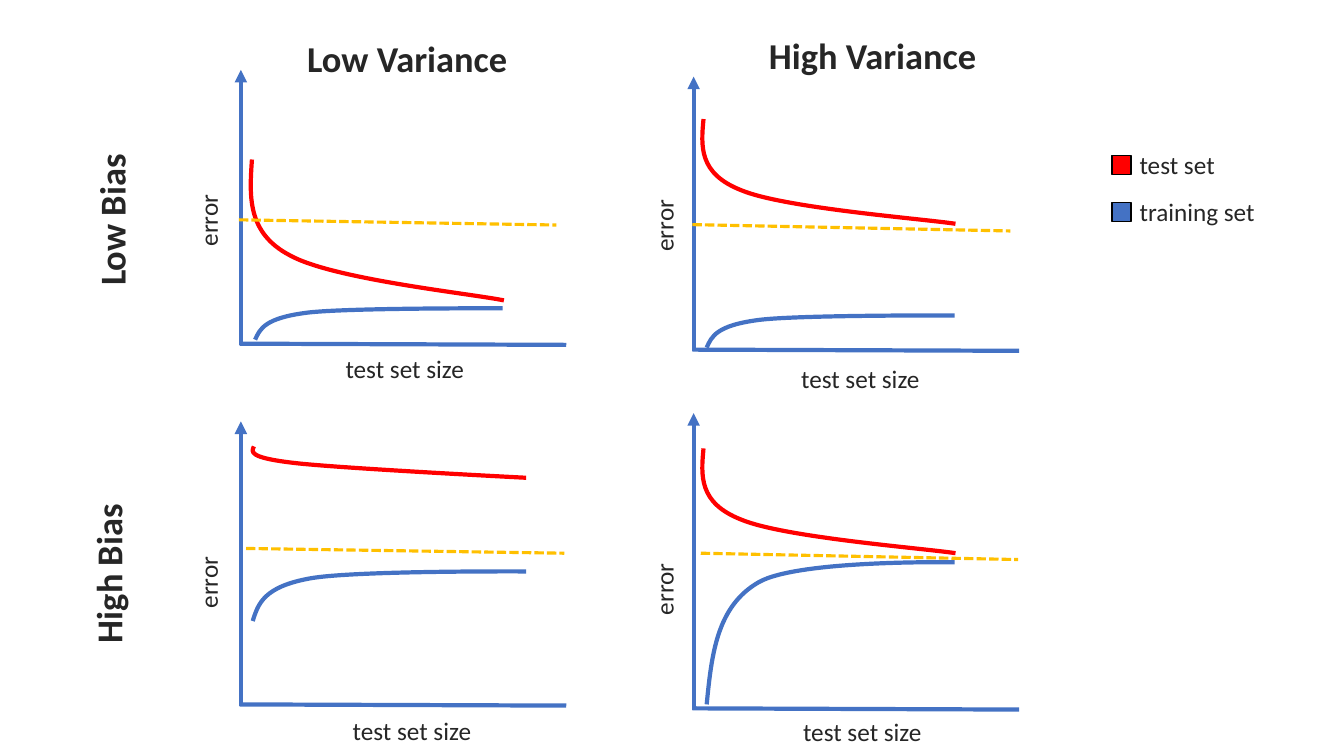
from dataclasses import dataclass

from lxml.etree import SubElement
from pptx import Presentation
from pptx.dml.color import RGBColor
from pptx.enum.dml import MSO_LINE
from pptx.enum.shapes import MSO_CONNECTOR, MSO_SHAPE
from pptx.enum.text import MSO_AUTO_SIZE
from pptx.oxml.ns import qn
from pptx.util import Cm, Pt


@dataclass(frozen=True)
class Theme:
    """Colours, type sizes and line widths of the slide."""
    training: RGBColor = RGBColor(0x44, 0x72, 0xC4)
    test: RGBColor = RGBColor(0xFF, 0x00, 0x00)
    target: RGBColor = RGBColor(0xFF, 0xC0, 0x00)
    ink: RGBColor = RGBColor(0x26, 0x26, 0x26)
    outline: RGBColor = RGBColor(0, 0, 0)
    font: str = "Calibri"
    heading: Pt = Pt(26)
    label: Pt = Pt(18)
    curve: Pt = Pt(3)
    dash: Pt = Pt(2.25)
    border: Pt = Pt(1)


THEME = Theme()

FALLING = [(0, 0), (-0.01, 0.26), (-0.02, 0.52), (0.15, 0.68),
           (0.32, 0.85), (0.86, 0.95), (1, 1)]
FLAT = [(0, 0), (-0.01, 0.18), (-0.02, 0.36), (0.15, 0.53),
        (0.32, 0.7), (1, 1), (1, 1)]
RISING = [(0, 0), (0.02, 0.35), (0.04, 0.69), (0.21, 0.86),
          (0.37, 1.02), (1, 1), (1, 1)]


@dataclass(frozen=True)
class Panel:
    """One learning-curve chart; labels and spans are offsets from the axis origin in cm."""
    left: float
    base: float
    height: float
    size_label: tuple
    error_label: tuple
    test_profile: list
    test_span: tuple
    training_span: tuple
    target_span: tuple


PANELS = [
    Panel(6.07, 8.69, 6.93, (2.39, 0.1), (-1.98, -3.89),
          FALLING, (0.28, -4.67, 6.63, -1.12),
          (0.36, -0.13, 6.6, -0.92), (-0.05, -3.15, 7.95, -3.02)),
    Panel(17.48, 8.84, 6.91, (2.46, 0.18), (-1.9, -3.91),
          FALLING, (0.25, -5.84, 6.6, -3.2),
          (0.33, -0.08, 6.58, -0.89), (-0.03, -3.18, 7.98, -3.02)),
    Panel(6.07, 17.78, 7.16, (2.57, 0.13), (-1.98, -3.86),
          FLAT, (0.33, -6.53, 7.19, -5.74),
          (0.3, -2.13, 7.19, -3.38), (0.13, -3.96, 8.15, -3.84)),
    Panel(17.48, 17.88, 7.47, (2.51, 0.05), (-1.9, -3.79),
          FALLING, (0.25, -6.58, 6.6, -3.94),
          (0.33, -0.13, 6.58, -3.71), (0.18, -3.94, 8.18, -3.78)),
]


def add_label(slide, text, left, top, width, size, bold=False, rotation=0):
    """Write one line of text in a box, turned about its centre if asked."""
    height = 1.37 if size == THEME.heading else 1.02
    box = slide.shapes.add_textbox(Cm(left), Cm(top), Cm(width), Cm(height))
    box.rotation = rotation
    box.text_frame.word_wrap = True
    box.text_frame.auto_size = MSO_AUTO_SIZE.SHAPE_TO_FIT_TEXT
    box.text_frame.text = text
    font = box.text_frame.paragraphs[0].runs[0].font
    font.name, font.size, font.bold = THEME.font, size, bold
    font.color.rgb = THEME.ink


def add_line(slide, left, base, span, colour, width, dash=None, arrow=False):
    """Draw a straight line along a span measured from the axis origin."""
    x1, y1, x2, y2 = span
    line = slide.shapes.add_connector(
        MSO_CONNECTOR.STRAIGHT,
        Cm(left + x1), Cm(base + y1), Cm(left + x2), Cm(base + y2))
    line.line.color.rgb, line.line.width = colour, width
    if dash:
        line.line.dash_style = dash
    properties = line._element.spPr
    if arrow:
        SubElement(properties.find(qn("a:ln")), qn("a:tailEnd"), type="triangle")
    SubElement(properties, qn("a:effectLst"))


def add_curve(slide, left, base, span, profile, colour):
    """Stretch a two-segment Bezier profile over a span measured from the axis origin."""
    x1, y1, x2, y2 = span
    points = [(Cm(left + x1 + x * (x2 - x1)), Cm(base + y1 + y * (y2 - y1)))
              for x, y in profile]
    builder = slide.shapes.build_freeform(*points[0])
    builder.add_line_segments(points[3::3], close=False)
    curve = builder.convert_to_shape()
    segments = list(curve._element.iter(qn("a:lnTo")))
    for segment, first in zip(segments, (1, 4)):
        outline = segment.getparent()
        outline.remove(segment)
        bend = SubElement(outline, qn("a:cubicBezTo"))
        for x, y in points[first:first + 3]:
            SubElement(bend, qn("a:pt"), x=str(x - curve.left), y=str(y - curve.top))
    curve.shadow.inherit = False
    curve.fill.background()
    curve.line.color.rgb, curve.line.width = colour, THEME.curve


def add_panel(slide, panel):
    """Place axes, curves, target line and axis labels around the panel's origin."""
    origin = (panel.left, panel.base)
    for span, arrow in (((0, -6.73, 0, 0), False),
                        ((-0.03, -0.03, 8.2, 0), False),
                        ((0, 0.75 - panel.height, 0, -panel.height), True)):
        add_line(slide, *origin, span, THEME.training, THEME.curve, arrow=arrow)
    add_curve(slide, *origin, panel.test_span, panel.test_profile, THEME.test)
    add_curve(slide, *origin, panel.training_span, RISING, THEME.training)
    add_line(slide, *origin, panel.target_span, THEME.target, THEME.dash,
             dash=MSO_LINE.SQUARE_DOT)
    for text, (dx, dy), width, rotation in (
            ("test set size", panel.size_label, 4.93, 0),
            ("error", panel.error_label, 2.3, 270)):
        add_label(slide, text, panel.left + dx, panel.base + dy, width, THEME.label,
                  rotation=rotation)


def add_headings(slide):
    """Name the columns by variance and the rows by bias."""
    for text, left, top, width, rotation in (
            ("Low Variance", 7.49, 0.79, 5.61, 0),
            ("High Variance", 19.13, 0.71, 5.79, 0),
            ("Low Bias", 0.79, 4.75, 4.04, 270),
            ("High Bias", 0.71, 13.75, 4.04, 270)):
        add_label(slide, text, left, top, width, THEME.heading, True, rotation)


def add_legend(slide, left, top):
    """List the curve colours from the given corner downwards."""
    for row, (text, colour) in enumerate((("test set", THEME.test),
                                          ("training set", THEME.training))):
        row_top = top + row * 1.18
        swatch = slide.shapes.add_shape(
            MSO_SHAPE.RECTANGLE, Cm(left), Cm(row_top), Cm(0.48), Cm(0.48))
        swatch.shadow.inherit = False
        swatch.fill.solid()
        swatch.fill.fore_color.rgb = colour
        swatch.line.color.rgb, swatch.line.width = THEME.outline, THEME.border
        add_label(slide, text, left + 0.45, row_top - 0.29, 4.93, THEME.label)


def main():
    """Build the bias and variance slide."""
    deck = Presentation()
    deck.slide_width, deck.slide_height = Cm(33.87), Cm(19.05)
    slide = deck.slides.add_slide(deck.slide_layouts[6])
    for panel in PANELS:
        add_panel(slide, panel)
    add_headings(slide)
    add_legend(slide, 28.02, 3.92)
    deck.save("out.pptx")


if __name__ == "__main__":
    main()
